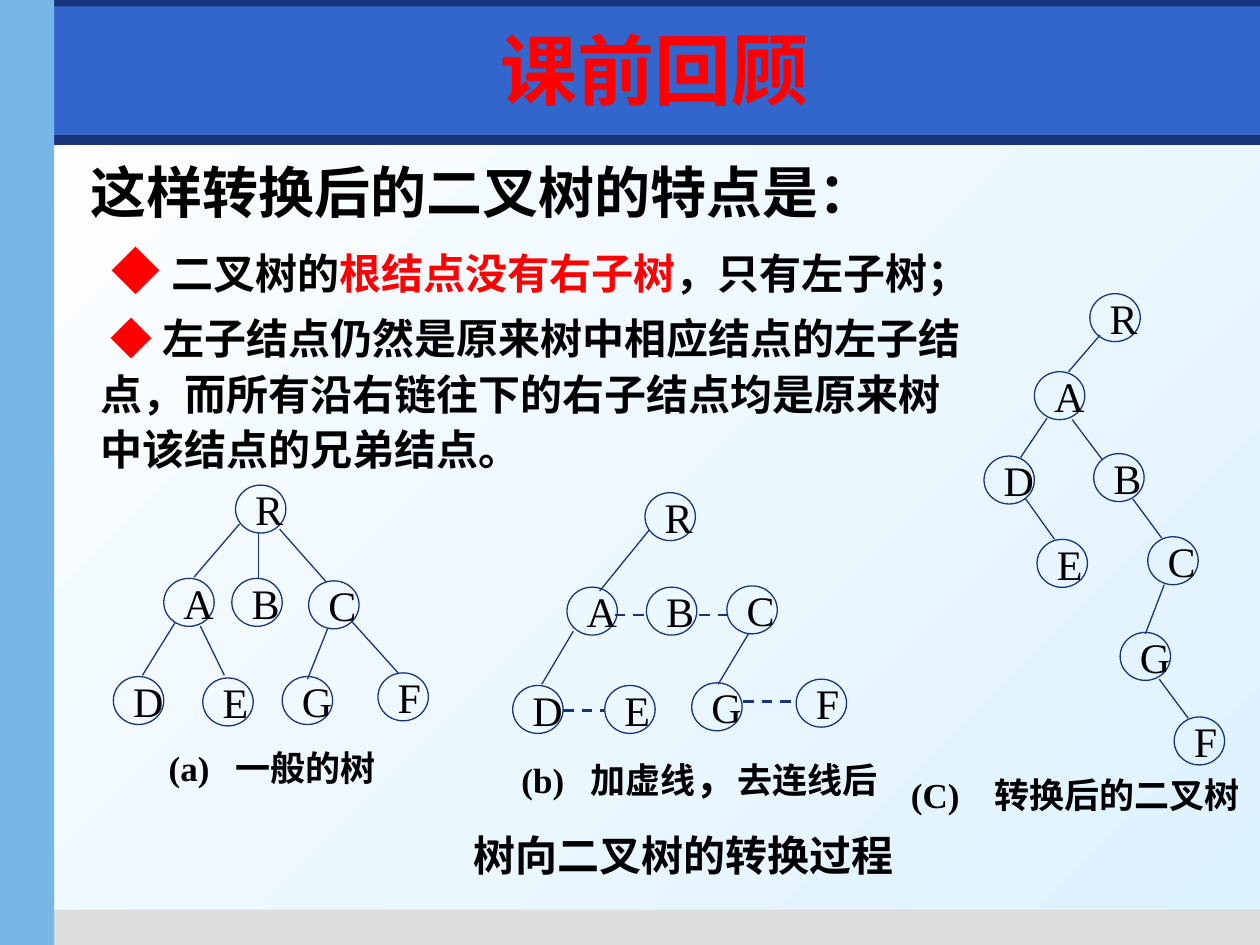
from dataclasses import dataclass

from lxml import etree
from pptx import Presentation
from pptx.dml.color import RGBColor
from pptx.enum.dml import MSO_LINE
from pptx.enum.shapes import MSO_CONNECTOR, MSO_SHAPE
from pptx.enum.text import MSO_ANCHOR, MSO_AUTO_SIZE, PP_ALIGN
from pptx.oxml.ns import qn
from pptx.util import Pt

OVAL = MSO_SHAPE.OVAL
RECTANGLE = MSO_SHAPE.RECTANGLE
STRAIGHT = MSO_CONNECTOR.STRAIGHT
DASH = MSO_LINE.DASH
MIDDLE = MSO_ANCHOR.MIDDLE
FIXED = MSO_AUTO_SIZE.NONE
LEFT = PP_ALIGN.LEFT
CENTER = PP_ALIGN.CENTER

NAVY = RGBColor(0x17, 0x34, 0x7D)
BLUE = RGBColor(0x33, 0x66, 0xCC)
SKY = RGBColor(0x77, 0xB7, 0xE7)
PALE = RGBColor(0xDD, 0xF2, 0xFF)
GRAY = RGBColor(0xDD, 0xDD, 0xDD)
WHITE = RGBColor(0xFF, 0xFF, 0xFF)
BLACK = RGBColor(0, 0, 0)
RED = RGBColor(0xFF, 0, 0)

SERIF = "Times New Roman"
CHINESE = "Noto Sans CJK SC"
SANS = "DejaVu Sans"
NODE_WIDTH, NODE_HEIGHT = 28.8, 27.4


@dataclass
class Band:
    left: float
    top: float
    width: float
    height: float
    color: RGBColor


@dataclass
class Caption:
    left: float
    top: float
    width: float
    height: float
    spans: tuple
    tab: float = 0


@dataclass
class Tree:
    nodes: dict
    edges: tuple
    dashes: tuple = ()


BANDS = (
    Band(2.9, 76.8, 717.1, 6, NAVY),
    Band(25.2, 519.8, 694.8, 20.2, GRAY),
    Band(0, 0, 720, 15.1, NAVY),
    Band(31, 3.6, 689, 73.4, BLUE),
    Band(0, 0, 31, 540, SKY),
)

TREES = (
    Tree(
        {"R": (134.6, 277.2), "A": (93.6, 330.5), "B": (132.5, 330.5), "C": (176.4, 331.9),
         "D": (64.8, 386.6), "E": (115.9, 387.4), "G": (161.3, 386.6), "F": (216, 384.5)},
        ((136.8, 299.5, 110.9, 329.8), (147.6, 303.8, 147.6, 330.5),
         (159.8, 302.4, 186.5, 332.6), (100.1, 355.7, 81.4, 385.9),
         (114.5, 357.8, 128.2, 385.9), (200.9, 355, 227.5, 384.5),
         (187.2, 359.3, 175.7, 388.1)),
    ),
    Tree(
        {"R": (368.6, 281.5), "A": (324, 335.5), "B": (369.4, 335.5), "C": (415.4, 334.8),
         "D": (293, 391.7), "E": (345.6, 391.7), "G": (395.3, 390.2), "F": (455, 388.1)},
        ((370.8, 303.1, 342.7, 337.7), (327.6, 360.7, 309.6, 391),
         (427.7, 362.2, 410.4, 391)),
        ((351.4, 351.4, 369.4, 351.4), (399.6, 351.4, 415.4, 351.4),
         (321.8, 406.1, 345.6, 406.1), (424.8, 401, 454.3, 401)),
    ),
    Tree(
        {"R": (622.8, 167.8), "A": (591.1, 212.4), "B": (625, 259.2), "C": (655.9, 306.7),
         "D": (562.3, 260.6), "E": (592.6, 308.2), "G": (640.1, 361.4), "F": (671, 409.7)},
        ((628.6, 191.5, 610.6, 212.4), (598.3, 239, 583.2, 261.4),
         (612.7, 239.8, 630, 262.8), (586.1, 285.1, 602.6, 308.2),
         (647.3, 285.1, 663.8, 307.4), (665.3, 334.1, 654.5, 362.2),
         (662.4, 388.1, 679, 410.4)),
    ),
)

CAPTIONS = (
    Caption(263.5, 474.5, 283.7, 28.1, (("树向二叉树的转换过程", 24, SERIF),)),
    Caption(89.3, 426.2, 135, 25.2, (("(a)\t一般的树", 20, SERIF),), 38.3),
    Caption(290.9, 431.3, 220, 25.2,
            (("(b)\t加虚线", 20, SERIF), ("，", 24, CHINESE), ("去连线后", 20, SERIF)), 39.4),
    Caption(513.4, 439.9, 204, 28.1, (("(C)\t转换后的二叉树", 20, SERIF),), 47.5),
)


def add_span(para, text: str, *, size: float, font: str = CHINESE,
             color: RGBColor = BLACK, bold: bool = True) -> None:
    span = para.add_run()
    span.text = text
    span.font.size = Pt(size)
    span.font.name = font
    span.font.bold = bold
    span.font.color.rgb = color
    east_asian = CHINESE if font == SERIF else font
    etree.SubElement(span.font._element, qn("a:ea"), typeface=east_asian)


def add_band(page, band: Band) -> None:
    box = page.shapes.add_shape(RECTANGLE, Pt(band.left), Pt(band.top),
                                Pt(band.width), Pt(band.height))
    box.shadow.inherit = False
    box.fill.solid()
    box.fill.fore_color.rgb = band.color
    box.line.fill.background()


def add_edge(page, ends: tuple, *, dashed: bool = False) -> None:
    edge = page.shapes.add_connector(STRAIGHT, *map(Pt, ends))
    edge.line.color.rgb = NAVY
    edge.line.width = Pt(1.5 if dashed else 0.75)
    if dashed:
        edge.line.dash_style = DASH
    etree.SubElement(edge.element.spPr, qn("a:effectLst"))


def add_node(page, label: str, left: float, top: float) -> None:
    node = page.shapes.add_shape(OVAL, Pt(left), Pt(top), Pt(NODE_WIDTH), Pt(NODE_HEIGHT))
    node.shadow.inherit = False
    node.fill.background()
    node.line.color.rgb = NAVY
    node.line.width = Pt(0.75)
    node.text_frame.word_wrap = False
    node.text_frame.vertical_anchor = MIDDLE
    para = node.text_frame.paragraphs[0]
    para.alignment = LEFT
    add_span(para, label, size=24, font=SERIF, bold=False)


def add_tree(page, tree: Tree) -> None:
    for label, (left, top) in tree.nodes.items():
        add_node(page, label, left, top)
    for ends in tree.edges:
        add_edge(page, ends)
    for ends in tree.dashes:
        add_edge(page, ends, dashed=True)


def add_caption(page, caption: Caption) -> None:
    box = page.shapes.add_textbox(Pt(caption.left), Pt(caption.top),
                                  Pt(caption.width), Pt(caption.height))
    frame = box.text_frame
    frame.word_wrap = False
    frame.vertical_anchor = MIDDLE
    frame.margin_top = frame.margin_right = frame.margin_bottom = 0
    para = frame.paragraphs[0]
    if caption.tab:
        stops = etree.SubElement(para._p.get_or_add_pPr(), qn("a:tabLst"))
        etree.SubElement(stops, qn("a:tab"), pos=str(Pt(caption.tab)), algn="l")
    for text, size, font in caption.spans:
        add_span(para, text, size=size, font=font)


def add_body(page) -> None:
    box = page.shapes.add_textbox(Pt(8.6), Pt(82.8), Pt(555.8), Pt(195.8))
    box.text_frame.word_wrap = True
    box.text_frame.auto_size = FIXED
    lines = (
        (36, 0, 0, (("这样转换后的二叉树的特点是：", 32, BLACK),)),
        (42, 6, 5.6, (("◆ ", 28, RED), ("二叉树的", 24, BLACK),
                      ("根结点没有右子树", 24, RED), ("，只有左子树；", 24, BLACK))),
        (42, 5.5, 4.8, (("◆ ", 24, RED),
                        ("左子结点仍然是原来树中相应结点的左子结点，而所有沿右链往下的右子结点均是"
                         "原来树中该结点的兄弟结点。", 24, BLACK))),
    )
    for index, (margin, indent, space, spans) in enumerate(lines):
        para = box.text_frame.paragraphs[0] if index == 0 else box.text_frame.add_paragraph()
        properties = para._p.get_or_add_pPr()
        properties.set("marL", str(Pt(margin)))
        properties.set("indent", str(Pt(indent)))
        para.line_spacing = 1.1
        para.space_before = Pt(space)
        for text, size, color in spans:
            add_span(para, text, size=size, color=color)


def add_title(page) -> None:
    title = page.shapes.title
    title.left, title.top, title.width, title.height = map(Pt, (42.5, 7.9, 663.1, 62.6))
    title.text_frame.vertical_anchor = MIDDLE
    para = title.text_frame.paragraphs[0]
    para.alignment = CENTER
    add_span(para, "课前回顾", size=44, font=SANS, color=RED)
    page.shapes.element.append(title.element)


def main() -> None:
    deck = Presentation()
    deck.slide_width, deck.slide_height = Pt(720), Pt(540)
    page = deck.slides.add_slide(deck.slide_layouts[5])
    backdrop = page.background.fill
    backdrop.gradient()
    backdrop.gradient_angle = 315
    for stop, color in zip(backdrop.gradient_stops, (WHITE, PALE)):
        stop.color.rgb = color
    for band in BANDS:
        add_band(page, band)
    add_body(page)
    for caption in CAPTIONS:
        add_caption(page, caption)
    for tree in TREES:
        add_tree(page, tree)
    add_title(page)
    deck.save("out.pptx")


if __name__ == "__main__":
    main()
